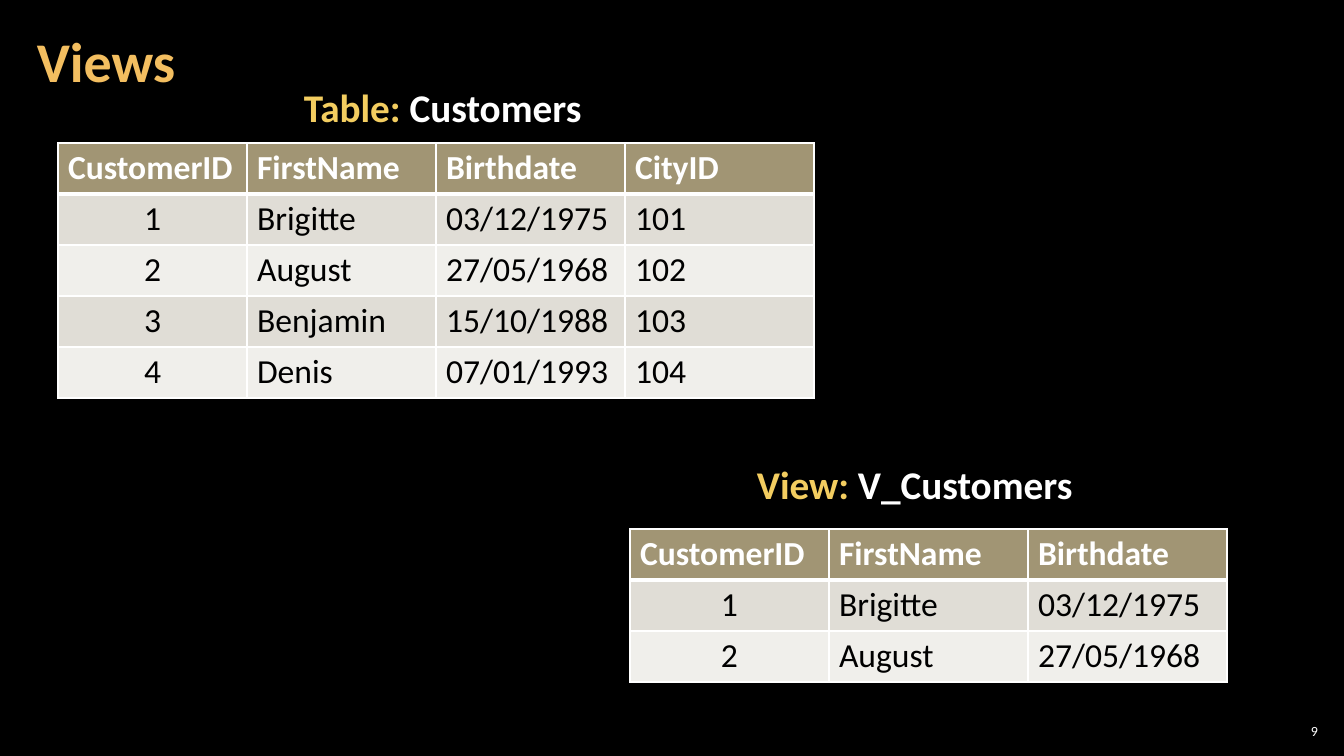
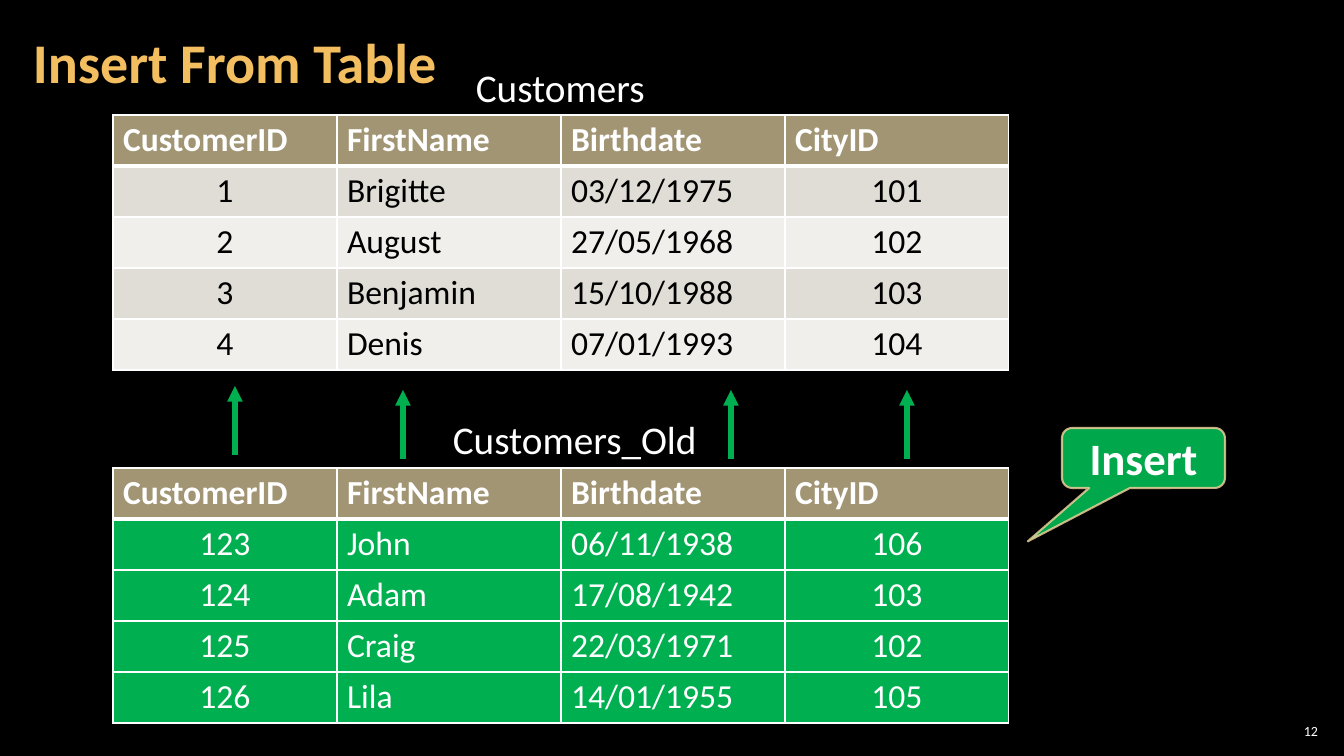
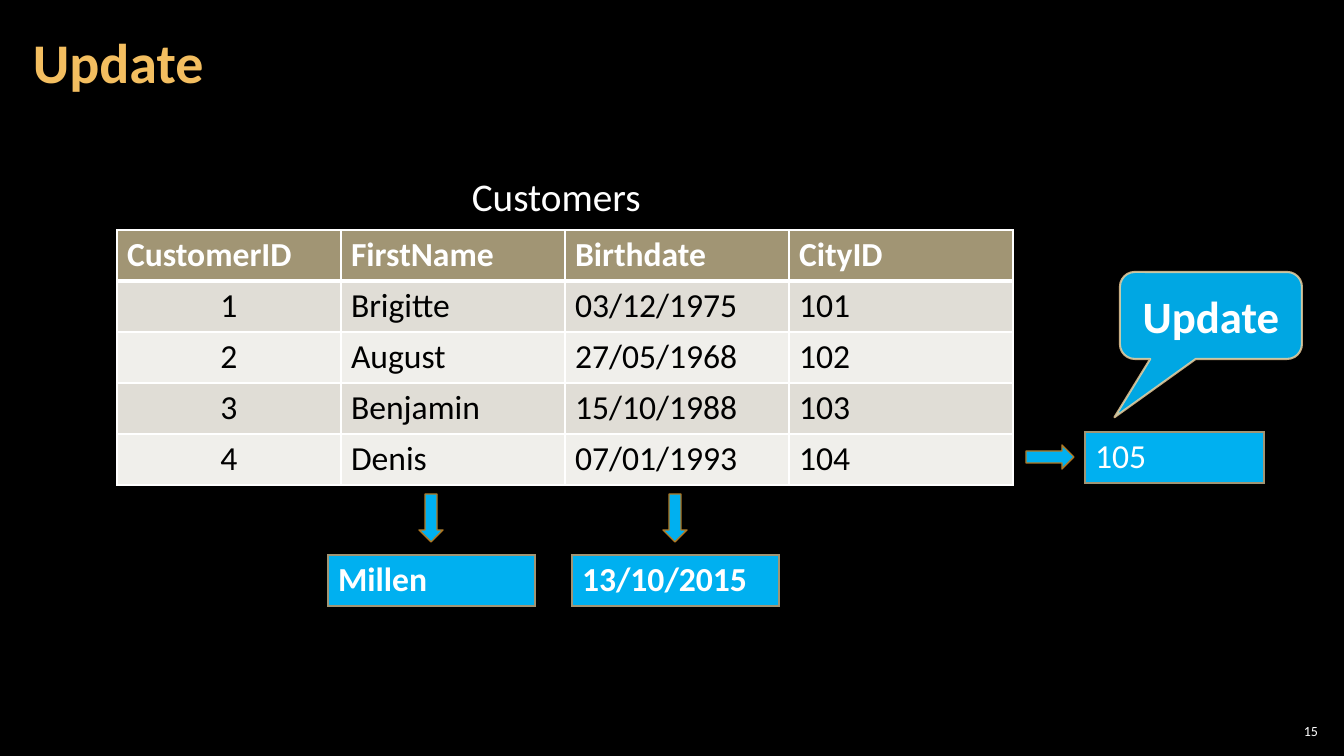
from dataclasses import dataclass

from lxml import etree
from pptx import Presentation
from pptx.dml.color import RGBColor
from pptx.enum.shapes import MSO_CONNECTOR, MSO_SHAPE
from pptx.enum.text import MSO_ANCHOR, PP_ALIGN
from pptx.oxml.ns import qn
from pptx.util import Emu, Pt

CENTER, LEFT, RIGHT = PP_ALIGN.CENTER, PP_ALIGN.LEFT, PP_ALIGN.RIGHT
MIDDLE = MSO_ANCHOR.MIDDLE
ARROW, CALLOUT = MSO_SHAPE.RIGHT_ARROW, MSO_SHAPE.ROUNDED_RECTANGULAR_CALLOUT
STRAIGHT = MSO_CONNECTOR.STRAIGHT

# Shared look
FONT = "Calibri"
BLACK, WHITE = "000000", "FFFFFF"
GOLD, YELLOW = "F3BE60", "F3CD60"
TAN, BANDS = "A19574", ("E0DDD6", "F0EFEB")
GREEN, BLUE = "00B050", "00B0F0"
BROWN, CREAM = "B27822", "F8D49E"
SCALE = 914400 / 100.8
ROW = 51

HEAD = ("CustomerID", "FirstName", "Birthdate", "CityID")
PEOPLE = (
    ("1", "Brigitte", "03/12/1975", "101"),
    ("2", "August", "27/05/1968", "102"),
    ("3", "Benjamin", "15/10/1988", "103"),
    ("4", "Denis", "07/01/1993", "104"),
)
OLD = (
    ("123", "John", "06/11/1938", "106"),
    ("124", "Adam", "17/08/1942", "103"),
    ("125", "Craig", "22/03/1971", "102"),
    ("126", "Lila", "14/01/1955", "105"),
)


@dataclass
class Grid:
    x: int
    y: int
    col: int
    rows: tuple
    fills: tuple = BANDS
    ink: str = BLACK
    mid: tuple = (0,)
    head: bool = True
    edge: str = WHITE
    bold: bool = False


@dataclass
class Label:
    x: int
    y: int
    w: int
    text: str
    lead: str = ""


@dataclass
class Bubble:
    x: int
    y: int
    w: int
    h: int
    text: str
    fill: str
    tip: tuple


def px(num):
    return Emu(round(num * SCALE))


def tint(hue):
    return RGBColor.from_string(hue)


def style(run, size, hue, bold=False):
    font = run.font
    font.name, font.size, font.bold = FONT, Pt(size), bold
    font.color.rgb = tint(hue)


def paint(shape, fill, line, width):
    shape.shadow.inherit = False
    shape.fill.solid()
    shape.fill.fore_color.rgb = tint(fill)
    shape.line.color.rgb = tint(line)
    shape.line.width = Pt(width)


def fade(node, share):
    """Make the first solid colour under a node partly transparent."""
    clr = node.find(qn("a:solidFill")).find(qn("a:srgbClr"))
    etree.SubElement(clr, qn("a:alpha"), val=str(share * 1000))


def add_box(slide, x, y, w, h, text, size, hue, bold=False):
    frame = slide.shapes.add_textbox(px(x), px(y), px(w), px(h)).text_frame
    frame.word_wrap = True
    frame.text = text
    style(frame.paragraphs[0].runs[0], size, hue, bold)
    return frame


def add_base(deck, title, page, x, y):
    """Add a slide with its title and page number."""
    slide = deck.slides.add_slide(deck.slide_layouts[6])
    frame = add_box(slide, x, y, 1055, 122, title, 40, GOLD, True)
    frame.vertical_anchor = MIDDLE
    frame.margin_left = frame.margin_right = px(12)
    frame.margin_top = frame.margin_bottom = px(4)
    frame.paragraphs[0].line_spacing = 0.9

    frame = add_box(slide, 1275, 720, 47, 21, page, 10, WHITE)
    frame.vertical_anchor = MIDDLE
    frame.margin_left = frame.margin_right = px(4)
    frame.margin_top = frame.margin_bottom = px(4)
    frame.paragraphs[0].alignment = RIGHT
    return slide


def add_label(slide, label):
    bold = bool(label.lead)
    first = label.lead or label.text
    hue = YELLOW if bold else WHITE
    frame = add_box(slide, label.x, label.y, label.w, 57, first, 28, hue, bold)
    if bold:
        run = frame.paragraphs[0].add_run()
        run.text = label.text
        style(run, 28, WHITE, True)


def set_edge(cell, hue, top, base):
    props = cell._tc.get_or_add_tcPr()
    for side, width in (("L", 1), ("R", 1), ("T", top), ("B", base)):
        line = etree.SubElement(props, qn("a:ln" + side), w=str(Pt(width)))
        fill = etree.SubElement(line, qn("a:solidFill"))
        etree.SubElement(fill, qn("a:srgbClr"), val=hue)


def add_grid(slide, grid):
    many, wide = len(grid.rows), len(grid.rows[0])
    table = slide.shapes.add_table(
        many, wide, px(grid.x), px(grid.y), px(grid.col * wide), px(ROW * many)
    ).table
    table.first_row = table.horz_banding = False
    for col in table.columns:
        col.width = px(grid.col)
    for r, row in enumerate(grid.rows):
        table.rows[r].height = px(ROW)
        top = grid.head and r == 0
        fill = TAN if top else grid.fills[(r - grid.head) % len(grid.fills)]
        for c, text in enumerate(row):
            cell = table.cell(r, c)
            set_edge(cell, grid.edge, 3 if grid.head and r == 1 else 1, 3 if top else 1)
            cell.fill.solid()
            cell.fill.fore_color.rgb = tint(fill)
            cell.text = text
            para = cell.text_frame.paragraphs[0]
            para.alignment = CENTER if c in grid.mid and not top else LEFT
            style(para.runs[0], 24, WHITE if top else grid.ink, top or grid.bold)


def add_bubble(slide, item):
    shape = slide.shapes.add_shape(
        CALLOUT, px(item.x), px(item.y), px(item.w), px(item.h)
    )
    for i, share in enumerate(item.tip):
        shape.adjustments[i] = share
    paint(shape, item.fill, CREAM, 1.5)
    fade(shape._element.spPr, 95)
    fade(shape.line._get_or_add_ln(), 80)
    frame = shape.text_frame
    frame.text = item.text
    frame.vertical_anchor = MIDDLE
    frame.paragraphs[0].alignment = CENTER
    style(frame.paragraphs[0].runs[0], 32, WHITE, True)


def add_line(slide, x, low, high):
    link = slide.shapes.add_connector(STRAIGHT, px(x), px(low), px(x), px(high))
    link.line.color.rgb = tint(GREEN)
    link.line.width = Pt(3.75)
    etree.SubElement(link.line._get_or_add_ln(), qn("a:tailEnd"), type="triangle")
    etree.SubElement(link._element.spPr, qn("a:effectLst"))


def add_arrow(slide, x, y, turn):
    shape = slide.shapes.add_shape(ARROW, px(x), px(y), px(48), px(24))
    shape.rotation = turn
    paint(shape, BLUE, BROWN, 1)


def add_views(deck):
    slide = add_base(deck, "Views", "9", 25, 3)
    add_grid(slide, Grid(58, 143, 189, (HEAD, *PEOPLE)))
    add_label(slide, Label(294, 78, 345, "Customers", "Table: "))
    short = tuple(row[:3] for row in (HEAD, *PEOPLE[:2]))
    add_grid(slide, Grid(630, 529, 199, short))
    add_label(slide, Label(747, 455, 361, "V_Customers", "View: "))


def add_insert(deck):
    slide = add_base(deck, "Insert From Table", "12", 21, 4)
    add_grid(slide, Grid(113, 115, 224, (HEAD, *PEOPLE), mid=(0, 3)))
    add_label(slide, Label(466, 58, 243, "Customers"))
    add_grid(slide, Grid(113, 468, 224, (HEAD, *OLD), (GREEN,), WHITE, (0, 3)))
    add_label(slide, Label(443, 410, 290, "Customers_Old"))
    for x, low in ((235, 455), (403, 459), (731, 459), (907, 459)):
        add_line(slide, x, low, low - 69)
    add_bubble(
        slide, Bubble(1062, 428, 163, 60, "Insert", GREEN, (-0.71, 1.39, 0.17))
    )


def add_update(deck):
    slide = add_base(deck, "Update", "15", 21, 4)
    add_grid(slide, Grid(117, 230, 224, (HEAD, *PEOPLE)))
    add_label(slide, Label(462, 167, 243, "Customers"))

    # New values, each with an arrow from its column
    for x, y, wide, text, bold in (
        (1085, 432, 179, "105", False),
        (572, 555, 207, "13/10/2015", True),
        (328, 555, 207, "Millen", True),
    ):
        add_grid(
            slide, Grid(x, y, wide, ((text,),), (BLUE,), WHITE, (), False, TAN, bold)
        )
    for x, y, turn in ((1026, 445, 0), (651, 506, 90), (407, 506, 90)):
        add_arrow(slide, x, y, turn)
    add_bubble(
        slide, Bubble(1120, 272, 182, 87, "Update", BLUE, (-0.53, 1.17, 0.17))
    )


def main():
    deck = Presentation()
    deck.slide_width, deck.slide_height = px(1344), px(756)
    back = deck.slide_master.background.fill
    back.solid()
    back.fore_color.rgb = tint(BLACK)
    add_views(deck)
    add_insert(deck)
    add_update(deck)
    deck.save("out.pptx")


if __name__ == "__main__":
    main()
